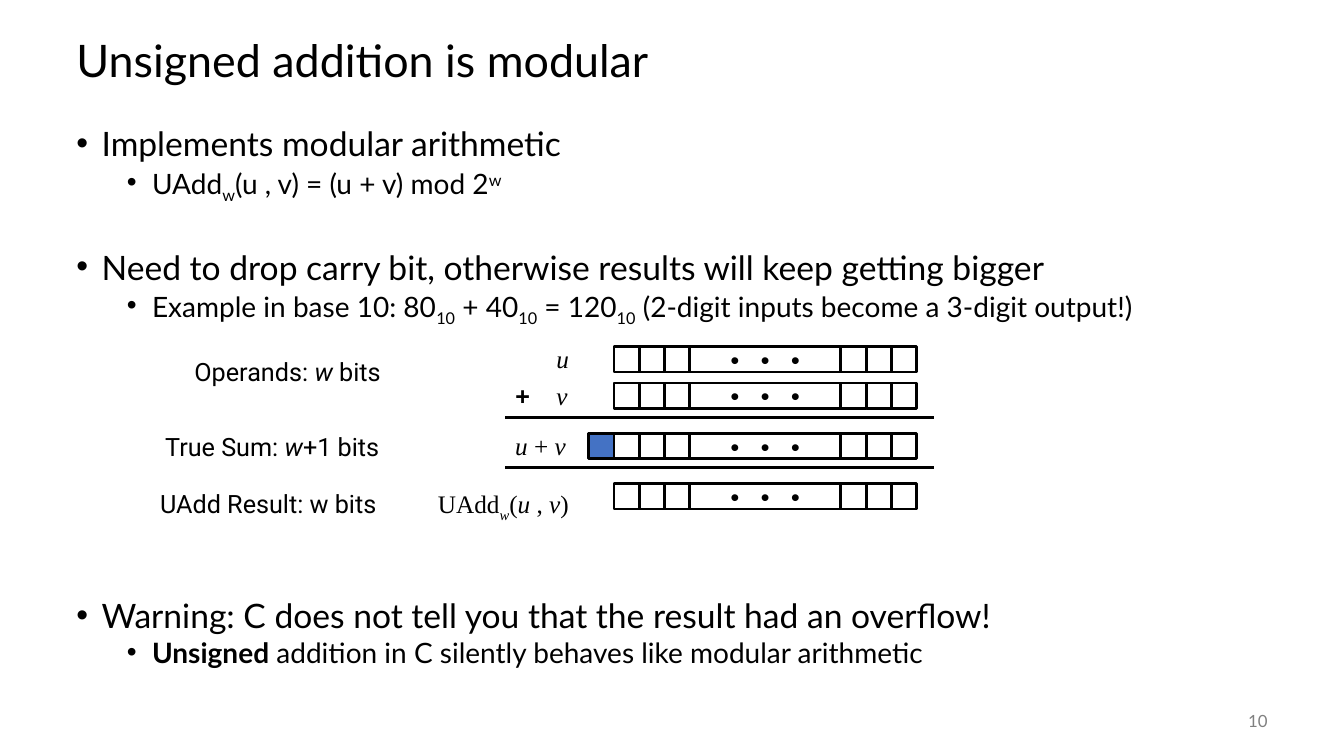
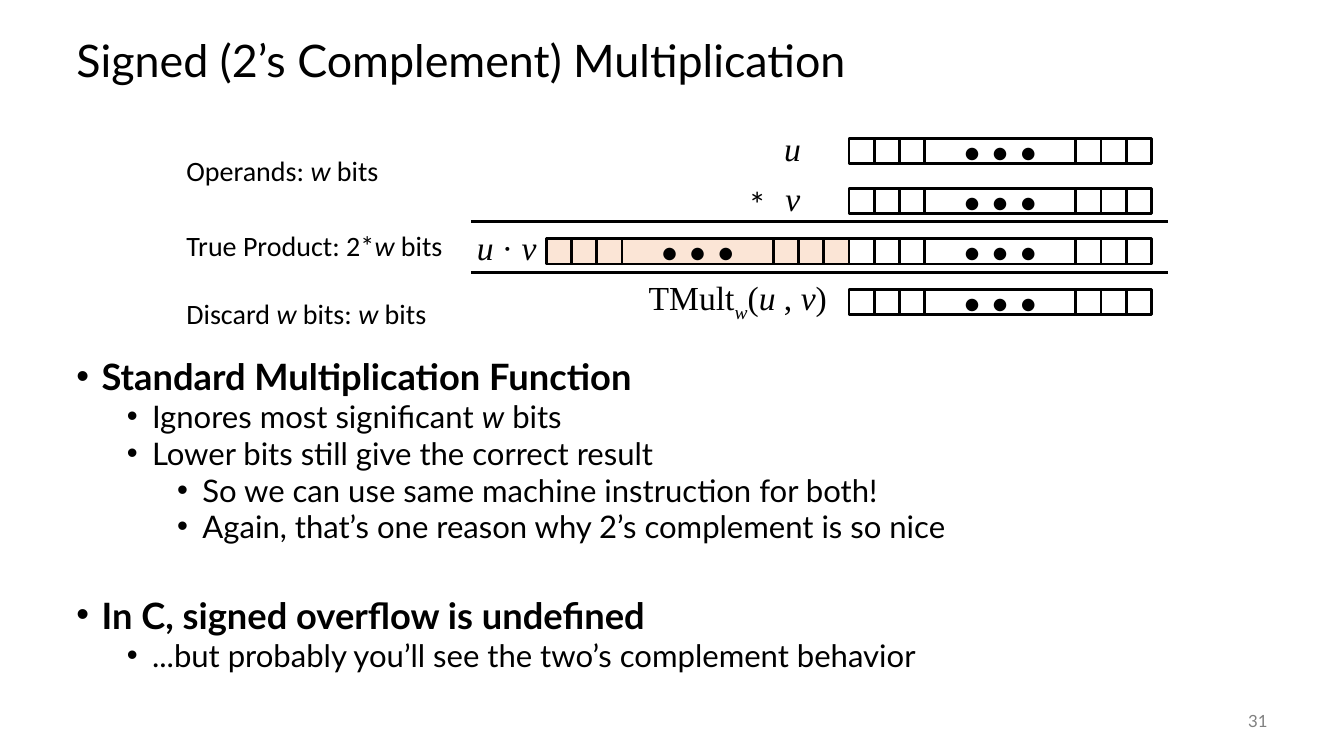
from lxml.etree import SubElement
from pptx import Presentation
from pptx.dml.color import RGBColor
from pptx.enum.shapes import MSO_CONNECTOR, MSO_SHAPE
from pptx.enum.text import MSO_ANCHOR, MSO_AUTO_SIZE, PP_ALIGN
from pptx.oxml.ns import qn
from pptx.util import Inches, Pt

COLORS = {"text": "000000", "muted": "808080", "cell": "FFFFFF",
          "carry": "4472C4", "discarded": "FBE5D6"}
SERIF = "Times New Roman"

# Run styles: font attributes, and baseline shift in percent
STYLES = {
    "plain": ({}, 0),
    "bold": ({"bold": True}, 0),
    "italic": ({"italic": True}, 0),
    "sub": ({}, -25),
    "super": ({}, 30),
    "italic sub": ({"italic": True}, -25),
}
W = ("w", "italic")
U = ("u", "italic")
V = ("v", "italic")
TEN = ("10", "sub")
ARGUMENTS = [("w", "italic sub"), "(", U, " , ", V, ")"]

# Bullets: level, space before, runs
# Labels: left, top, width, font, alignment, wraps, runs
# Registers: left, top, fill
SLIDES = [
    {
        "title": "Unsigned addition is modular",
        "number": "10",
        "body": {"top": 1.25, "height": 5.5, "sizes": [24, 20]},
        "bullets": [
            (0, 0, ["Implements modular arithmetic"]),
            (1, 5, ["UAdd", ("w", "sub"), "(u , v) = (u + v) mod 2", ("w", "super")]),
            (0, 38.2, ["Need to drop carry bit, otherwise results will keep getting bigger"]),
            (1, 5, ["Example in base 10: 80", TEN, " + 40", TEN, " = 120", TEN,
                    " (2-digit inputs become a 3-digit output!)"]),
            (0, 199.2, ["Warning: C does not tell you that the result had an overflow!"]),
            (1, 5, [("Unsigned", "bold"), " addition in C silently behaves like modular arithmetic"]),
        ],
        "dots": ("Courier New", 18),
        "registers": [(6.09, top, "cell") for top in (3.44, 3.8, 4.3, 4.8)],
        "single_cells": [(5.84, 4.3, "carry")],
        "rules": {"left": 5.01, "right": 9.26, "tops": (4.14, 4.64)},
        "label_size": 18, "label_height": 0.4,
        "labels": [
            (5.42, 3.36, 0.33, SERIF, "LEFT", False, [U]),
            (5.42, 3.72, 0.31, SERIF, "LEFT", False, [V]),
            (5.01, 3.72, 0.35, "Courier New", "LEFT", False, [("+", "bold")]),
            (5.01, 4.22, 0.7, SERIF, "RIGHT", False, [("u ", "italic"), "+ ", V]),
            (4.23, 4.8, 1.51, SERIF, "RIGHT", False, ["UAdd", *ARGUMENTS]),
        ],
        "caption_size": 18, "caption_height": 0.4,
        "captions": [
            (1.83, 3.49, 2.08, "Roboto", "LEFT", False, ["Operands: ", W, " bits"]),
            (1.54, 4.23, 2.36, "Roboto", "LEFT", False, ["True Sum: ", W, "+1 bits"]),
            (1.49, 4.8, 2.46, "Roboto", "LEFT", True, ["UAdd Result: w bits"]),
        ],
    },
    {
        "title": "Signed (2’s Complement) Multiplication",
        "number": "31",
        "body": {"top": 3.55, "height": 3.2, "sizes": [25.9, 22.2, 22.2]},
        "bullets": [
            (0, 0, [("Standard Multiplication Function", "bold")]),
            (1, 5, ["Ignores most significant ", W, " bits"]),
            (1, 5, ["Lower bits still give the correct result"]),
            (2, 5, ["So we can use same machine instruction for both!"]),
            (2, 5, ["Again, that’s one reason why 2’s complement is so nice"]),
            (0, 40.3, [("In C, signed overflow is undefined", "bold")]),
            (1, 5, ["...but probably you’ll see the two’s complement behavior"]),
        ],
        "dots": ("Lato", 24),
        "registers": [(8.42, 1.37 + 0.5 * row, "cell") for row in range(4)]
        + [(5.42, 2.37, "discarded")],
        "single_cells": [],
        "rules": {"left": 4.67, "right": 11.58, "tops": (2.2, 2.7)},
        "label_size": 24, "label_height": 0.5,
        "labels": [
            (7.68, 1.22, 0.37, SERIF, "LEFT", False, [U]),
            (7.69, 1.72, 0.35, SERIF, "LEFT", False, [V]),
            (7.34, 1.78, 0.39, "Lato", "LEFT", False, ["*"]),
            (4.62, 2.2, 0.8, SERIF, "RIGHT", False, [("u ", "italic"), "· ", V]),
            (6.29, 2.7, 2.01, SERIF, "RIGHT", False, ["TMult", *ARGUMENTS]),
        ],
        "caption_size": 20, "caption_height": 0.44,
        "captions": [
            (1.75, 1.47, 2.13, "Calibri", "LEFT", False, ["Operands: ", W, " bits"]),
            (1.75, 2.22, 2.83, "Calibri", "LEFT", False, ["True Product: 2*", W, " bits"]),
            (1.75, 2.89, 2.67, "Calibri", "LEFT", True, ["Discard ", W, " bits: ", W, " bits"]),
        ],
    },
]

# Shared measures
MARGIN, CONTENT_WIDTH = 0.66, 12
CELL = 0.25
REGISTER_WIDTHS = [CELL] * 3 + [6 * CELL] + [CELL] * 3
DOTS = "• • •"
LINE_WIDTH = Pt(2)


def rgb(name):
    return RGBColor.from_string(COLORS[name])


def set_all(target, values):
    for name, value in values.items():
        setattr(target, name, value)


def add_runs(paragraph, runs, font, size, color="text"):
    for item in runs:
        text, style = (item, "plain") if isinstance(item, str) else item
        run = paragraph.add_run()
        run.text = text
        extra, shift = STYLES[style]
        set_all(run.font, {"name": font, "size": Pt(size), **extra})
        run.font.color.rgb = rgb(color)
        if shift:
            run.font._element.set("baseline", str(shift * 1000))


def add_text_frame(slide, box, **frame_format):
    frame = slide.shapes.add_textbox(*map(Inches, box)).text_frame
    set_all(frame, {"word_wrap": True, **frame_format})
    return frame


def add_title(slide, text):
    frame = add_text_frame(slide, (MARGIN, 0.25, CONTENT_WIDTH, 0.75),
                           vertical_anchor=MSO_ANCHOR.MIDDLE)
    frame.paragraphs[0].line_spacing = 0.9
    add_runs(frame.paragraphs[0], [text], "Lato", 32)


def add_slide_number(slide, number):
    frame = add_text_frame(slide, (11.67, 6.95, 1, 0.4),
                           vertical_anchor=MSO_ANCHOR.MIDDLE)
    frame.paragraphs[0].alignment = PP_ALIGN.RIGHT
    add_runs(frame.paragraphs[0], [number], "Lato", 12, "muted")


def add_bullets(slide, bullets, top, height, sizes):
    frame = add_text_frame(slide, (MARGIN, top, CONTENT_WIDTH, height))
    for index, (level, space, runs) in enumerate(bullets):
        paragraph = frame.add_paragraph() if index else frame.paragraphs[0]
        set_all(paragraph, {"level": level, "line_spacing": 0.8, "space_before": Pt(space)})
        properties = paragraph._p.get_or_add_pPr()
        properties.set("marL", str(Inches(0.25 + 0.5 * level)))
        properties.set("indent", str(Inches(-0.25)))
        SubElement(properties, qn("a:buFont")).set("typeface", "Arial")
        SubElement(properties, qn("a:buChar")).set("char", "•")
        add_runs(paragraph, runs, "Lato", sizes[level])


def add_labels(slide, labels, size, height):
    for left, top, width, font, alignment, wraps, runs in labels:
        frame = add_text_frame(slide, (left, top, width, height), word_wrap=wraps,
                               auto_size=MSO_AUTO_SIZE.SHAPE_TO_FIT_TEXT)
        frame.paragraphs[0].alignment = PP_ALIGN[alignment]
        add_runs(frame.paragraphs[0], runs, font, size)


def add_cell(shapes, left, top, fill, width=CELL):
    cell = shapes.add_shape(MSO_SHAPE.RECTANGLE, *map(Inches, (left, top, width, CELL)))
    cell.shadow.inherit = False
    cell.fill.solid()
    cell.fill.fore_color.rgb = rgb(fill)
    cell.line.color.rgb = rgb("text")
    cell.line.width = LINE_WIDTH
    return cell


def add_register(slide, left, top, fill, dots):
    group = slide.shapes.add_group_shape()
    for width in REGISTER_WIDTHS:
        cell = add_cell(group.shapes, left, top, fill, width)
        if width > CELL:
            frame = cell.text_frame
            set_all(frame, {"word_wrap": False, "vertical_anchor": MSO_ANCHOR.MIDDLE})
            frame.paragraphs[0].alignment = PP_ALIGN.CENTER
            add_runs(frame.paragraphs[0], [DOTS], *dots)
        left += width


def add_rules(slide, left, right, tops):
    for top in tops:
        rule = slide.shapes.add_connector(
            MSO_CONNECTOR.STRAIGHT, *map(Inches, (left, top, right, top)))
        rule.line.color.rgb = rgb("text")
        rule.line.width = LINE_WIDTH
        SubElement(rule._element.spPr, qn("a:effectLst"))


def main():
    presentation = Presentation()
    presentation.slide_width = Inches(13.33)
    presentation.slide_height = Inches(7.5)
    for content in SLIDES:
        slide = presentation.slides.add_slide(presentation.slide_layouts[6])
        add_title(slide, content["title"])
        add_bullets(slide, content["bullets"], **content["body"])
        for register in content["registers"]:
            add_register(slide, *register, content["dots"])
        for cell in content["single_cells"]:
            add_cell(slide.shapes, *cell)
        add_rules(slide, **content["rules"])
        for kind in ("label", "caption"):
            add_labels(slide, content[kind + "s"], content[kind + "_size"],
                       content[kind + "_height"])
        add_slide_number(slide, content["number"])
    presentation.save("out.pptx")


if __name__ == "__main__":
    main()
